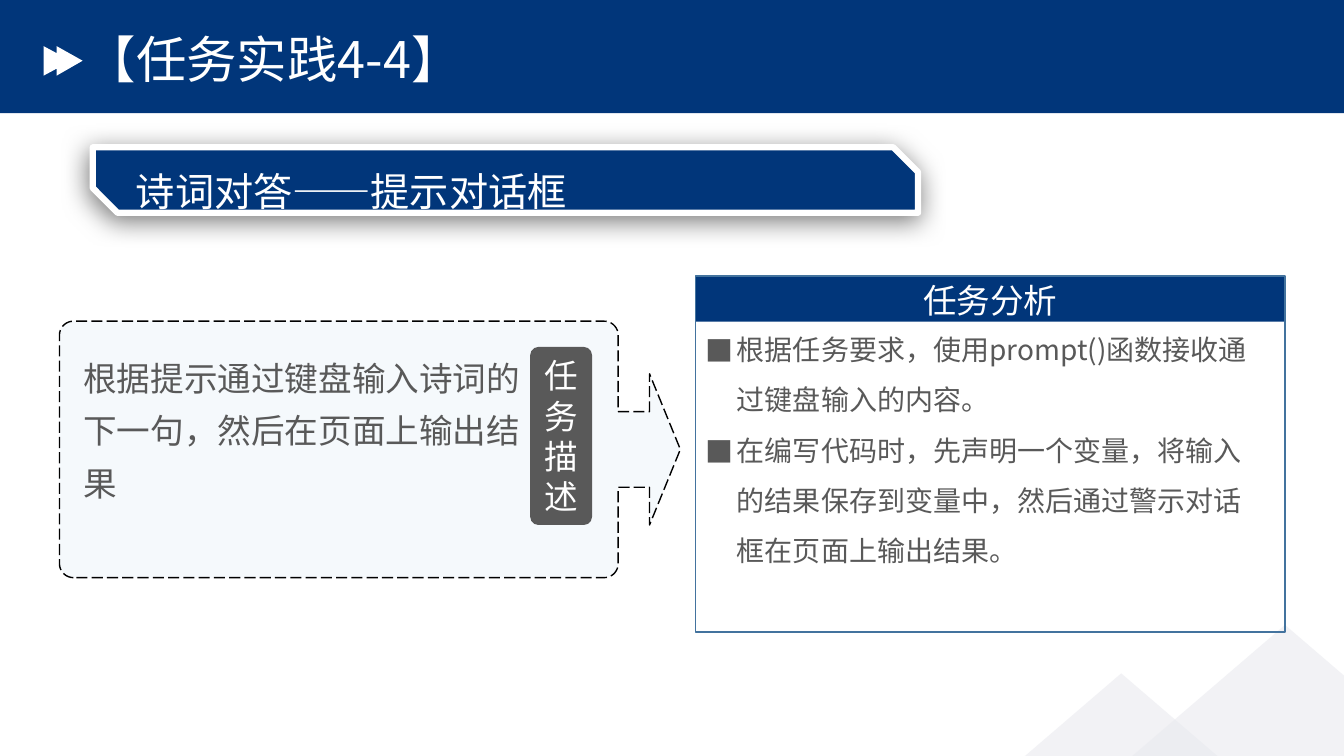
from math import cos, radians, sin

from lxml import etree
from pptx import Presentation
from pptx.dml.color import RGBColor
from pptx.enum.dml import MSO_LINE
from pptx.enum.shapes import MSO_SHAPE
from pptx.enum.text import MSO_ANCHOR, MSO_AUTO_SIZE, PP_ALIGN
from pptx.oxml import parse_xml
from pptx.oxml.ns import nsdecls, qn
from pptx.util import Pt

RECTANGLE = MSO_SHAPE.RECTANGLE
TRIANGLE = MSO_SHAPE.ISOSCELES_TRIANGLE
SNIPPED = MSO_SHAPE.SNIP_2_DIAG_RECTANGLE
ROUNDED = MSO_SHAPE.ROUNDED_RECTANGLE
LONG_DASH = MSO_LINE.LONG_DASH
LEFT, CENTER = PP_ALIGN.LEFT, PP_ALIGN.CENTER
TOP, MIDDLE = MSO_ANCHOR.TOP, MSO_ANCHOR.MIDDLE
NO_FIT = MSO_AUTO_SIZE.NONE

FONT = "Noto Sans CJK SC"
NAVY, WHITE, GRAY = "01367A", "FFFFFF", "595959"


def paint(shape, fill=None, line=None, width=1, opacity=100):
    """Set fill, outline and fill opacity in percent; None means no paint."""
    shape.shadow.inherit = False
    if fill:
        shape.fill.solid()
        shape.fill.fore_color.rgb = RGBColor.from_string(fill)
        if opacity < 100:
            color = shape.element.spPr.find(qn("a:solidFill"))[0]
            etree.SubElement(color, qn("a:alpha"), val=str(opacity * 1000))
    else:
        shape.fill.background()
    if line:
        shape.line.color.rgb = RGBColor.from_string(line)
        shape.line.width = Pt(width)
    else:
        shape.line.fill.background()


def write(shape, texts, size, color=WHITE, font=FONT, align=LEFT, anchor=TOP,
          spacing=1.0, before=0, bullet=None):
    frame = shape.text_frame
    frame.word_wrap = True
    frame.auto_size = NO_FIT
    frame.vertical_anchor = anchor
    for index, text in enumerate(texts):
        para = frame.add_paragraph() if index else frame.paragraphs[0]
        para.alignment = align
        para.line_spacing = spacing
        para.space_before = Pt(before)
        if bullet:
            properties = para._p.get_or_add_pPr()
            properties.set("marL", str(Pt(22.5)))
            properties.set("indent", str(Pt(-22.5)))
            etree.SubElement(properties, qn("a:buFont"), typeface=FONT)
            etree.SubElement(properties, qn("a:buChar"), char=bullet)
        span = para.add_run()
        span.text = text
        span.font.size = Pt(size)
        span.font.name = font
        span.font.color.rgb = RGBColor.from_string(color)
        etree.SubElement(span.font._element, qn("a:ea"), typeface=FONT)


deck = Presentation()
deck.slide_width, deck.slide_height = Pt(960), Pt(540)
page = deck.slides.add_slide(deck.slide_layouts[5])
shapes = page.shapes

# Header band with double arrow
band = shapes.add_shape(RECTANGLE, 0, 0, Pt(960), Pt(80.8))
paint(band, NAVY)
arrow_points = [(31.2, 33), (40.5, 38), (40.5, 33), (59, 43.4),
                (40.5, 54), (40.5, 49), (31.2, 54)]
builder = shapes.build_freeform(Pt(31.2), Pt(33))
builder.add_line_segments([(Pt(x), Pt(y)) for x, y in arrow_points[1:]])
paint(builder.convert_to_shape(), WHITE)

# Mountains in the bottom corner
for left, top in ((642.5, 481), (759.5, 446.4)):
    mountain = shapes.add_shape(TRIANGLE, Pt(left), Pt(top), Pt(316.8), Pt(136))
    paint(mountain, "E9EAEF", opacity=59)

# Subtitle banner
banner = shapes.add_shape(SNIPPED, Pt(66.3), Pt(105.2), Pt(589.5), Pt(46.8))
banner.adjustments[0], banner.adjustments[1] = 0, 0.378
paint(banner, NAVY, WHITE, 4.5)
effects = banner.element.spPr.find(qn("a:effectLst"))
effects.append(parse_xml(
    f'<a:outerShdw {nsdecls("a")} blurRad="{Pt(19)}" dist="{Pt(4)}" '
    f'dir="{112 * 60000}" rotWithShape="0"><a:srgbClr val="000000">'
    '<a:alpha val="51000"/></a:srgbClr></a:outerShdw>'))

title = shapes.title
title.left, title.top, title.width, title.height = Pt(54), Pt(24.3), Pt(474), Pt(40.3)
title.element.getparent().append(title.element)
write(title, ["【任务实践4-4】"], 36, anchor=MIDDLE, spacing=0.9)
subtitle = shapes.add_textbox(Pt(90), Pt(105.8), Pt(533), Pt(50.4))
write(subtitle, ["诗词对答——提示对话框"], 28, spacing=1.3, before=10)

# Task description: rounded callout with an arrow on its right side
left, top, right, bottom, radius = 42.5, 229.4, 441.6, 412.6, 10
outline = []
for center_x, center_y, start in ((left + radius, bottom - radius, 180),
                                  (left + radius, top + radius, 270),
                                  (right - radius, top + radius, 0),
                                  (right - radius, bottom - radius, 90)):
    for step in range(0, 91, 10):
        angle = radians(start + step)
        outline.append((center_x - radius * cos(angle - radians(180)) if start in (180, 270)
                        else center_x + radius * sin(angle),
                        center_y - radius * sin(angle - radians(180)) if start in (180, 270)
                        else center_y - radius * cos(angle)))
    if start == 0:
        outline += [(right, 294), (464, 294), (464, 267), (486, 321),
                    (464, 375), (464, 348), (right, 348)]
# Left corners run from the side to the edge, so their points are recomputed by quadrant
outline[:20] = [(left + radius - radius * sin(radians(step)), bottom - radius + radius * cos(radians(step)))
                for step in range(0, 91, 10)] + [
               (left + radius - radius * cos(radians(step)), top + radius - radius * sin(radians(step)))
                for step in range(0, 91, 10)]
builder = shapes.build_freeform(Pt(outline[0][0]), Pt(outline[0][1]))
builder.add_line_segments([(Pt(x), Pt(y)) for x, y in outline[1:]])
callout = builder.convert_to_shape()
paint(callout, "BDD7EE", "000000", opacity=15)
callout.line.dash_style = LONG_DASH

description = shapes.add_textbox(Pt(52.5), Pt(243.4), Pt(326.2), Pt(117.4))
write(description, ["根据提示通过键盘输入诗词的下一句，然后在页面上输出结果"], 24, GRAY, spacing=1.3)
label = shapes.add_shape(ROUNDED, Pt(378.7), Pt(247.8), Pt(44.2), Pt(127.2))
label.adjustments[0] = 0.133
paint(label, GRAY)
write(label, ["任务描述"], 24, font="Calibri", align=CENTER, anchor=MIDDLE)

# Task analysis
heading_bar = shapes.add_shape(RECTANGLE, Pt(496.8), Pt(197.3), Pt(421.2), Pt(32.4))
paint(heading_bar, NAVY)
heading = shapes.add_textbox(Pt(496.8), Pt(196.6), Pt(421.2), Pt(25.2))
write(heading, ["任务分析"], 24, align=CENTER)
analysis = shapes.add_textbox(Pt(496.8), Pt(221.8), Pt(410.4), Pt(184.3))
write(analysis, ["根据任务要求，使用prompt()函数接收通过键盘输入的内容。",
                 "在编写代码时，先声明一个变量，将输入的结果保存到变量中，然后通过警示对话框在页面上输出结果。"],
      20, GRAY, spacing=1.5, bullet="■")
frame_box = shapes.add_shape(RECTANGLE, Pt(496.8), Pt(197.3), Pt(421.2), Pt(254.2))
paint(frame_box, line="43739E")

deck.save("out.pptx")
